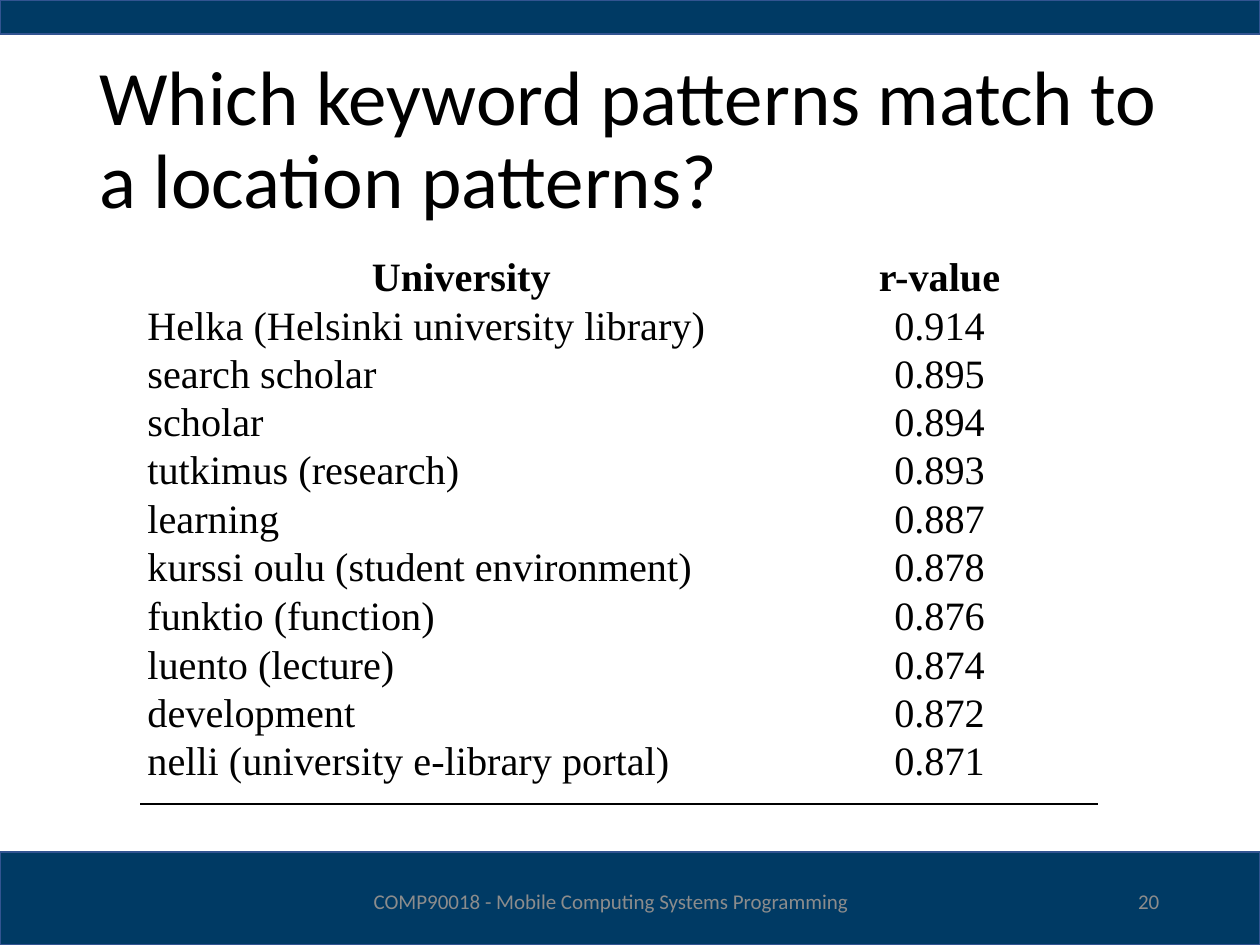
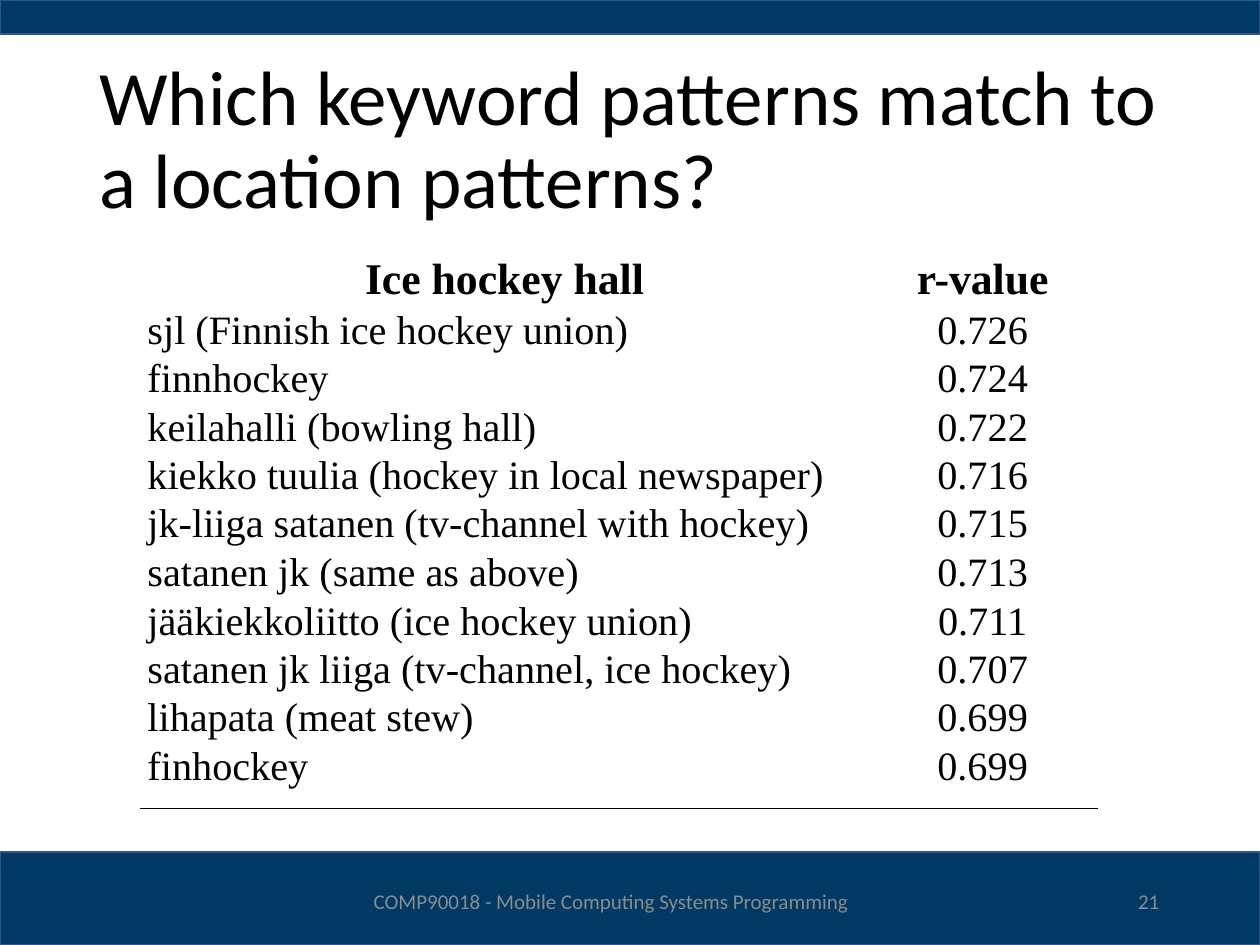
from dataclasses import dataclass

from lxml.etree import SubElement
from pptx import Presentation
from pptx.dml.color import RGBColor
from pptx.enum.shapes import MSO_SHAPE
from pptx.enum.text import MSO_ANCHOR, PP_ALIGN
from pptx.oxml.ns import qn
from pptx.util import Inches, Pt

NAVY = RGBColor(0x00, 0x3A, 0x64)
BAND_EDGE = RGBColor(0x32, 0x54, 0x91)
BLACK = RGBColor(0x00, 0x00, 0x00)
WHITE = RGBColor(0xFF, 0xFF, 0xFF)
GREY = RGBColor(0x8C, 0x8C, 0x8C)
SANS, SERIF = "Calibri", "Times New Roman"

WIDTH, HEIGHT = Inches(10), Inches(7.5)
ROW = HEIGHT // 20
BODY_SIZE = 23

HEADING = "Which keyword patterns match to a location patterns?"
COURSE = "COMP90018 - Mobile Computing Systems Programming"

UNIVERSITY = [
    ("Helka (Helsinki university library)", "0.914"),
    ("search scholar", "0.895"),
    ("scholar", "0.894"),
    ("tutkimus (research)", "0.893"),
    ("learning", "0.887"),
    ("kurssi oulu (student environment)", "0.878"),
    ("funktio (function)", "0.876"),
    ("luento (lecture)", "0.874"),
    ("development", "0.872"),
    ("nelli (university e-library portal)", "0.871"),
]
ICE_HOCKEY = [
    ("sjl (Finnish ice hockey union)", "0.726"),
    ("finnhockey", "0.724"),
    ("keilahalli (bowling hall)", "0.722"),
    ("kiekko tuulia (hockey in local newspaper)", "0.716"),
    ("jk-liiga satanen (tv-channel with hockey)", "0.715"),
    ("satanen jk (same as above)", "0.713"),
    ("jääkiekkoliitto (ice hockey union)", "0.711"),
    ("satanen jk liiga (tv-channel, ice hockey)", "0.707"),
    ("lihapata (meat stew)", "0.699"),
    ("finhockey", "0.699"),
]


@dataclass
class Box:
    left: int
    top: int
    width: int
    height: int

    def share(self, left, top, width, height):
        return Box(
            self.left + int(self.width * left),
            self.top + int(self.height * top),
            int(self.width * width),
            int(self.height * height),
        )

    def place(self):
        return self.left, self.top, self.width, self.height


PAGE = Box(0, 0, WIDTH, HEIGHT)
TOP_BAND = Box(0, 0, WIDTH, Inches(0.27))
FOOTER = Box(0, Inches(6.76), WIDTH, Inches(0.74))
TITLE = Box(Inches(0.69), Inches(0.4), Inches(8.62), Inches(1.45))
RANKING = Box(Inches(1.12), Inches(2.03), Inches(7.59), Inches(4.34))


def style_font(paragraph, face, size, color, bold=False):
    font = paragraph.runs[0].font
    font.name, font.size, font.bold = face, Pt(size), bold
    font.color.rgb = color


def add_label(slide, box, text, size, color, align=PP_ALIGN.LEFT):
    frame = slide.shapes.add_textbox(*box.place()).text_frame
    frame.word_wrap = True
    frame.vertical_anchor = MSO_ANCHOR.MIDDLE
    frame.text = text
    line = frame.paragraphs[0]
    line.alignment = align
    style_font(line, SANS, size, color)
    return line


def add_band(slide, box):
    band = slide.shapes.add_shape(MSO_SHAPE.RECTANGLE, *box.place())
    band.shadow.inherit = False
    band.fill.solid()
    band.fill.fore_color.rgb = NAVY
    band.line.color.rgb = BAND_EDGE
    band.line.width = Pt(1)


def add_footer(slide, box, number):
    add_band(slide, box)
    add_label(slide, box.share(0.26, 0.26, 0.45, 0.54), COURSE, 12, GREY, PP_ALIGN.CENTER)
    add_label(slide, box.share(0.71, 0.26, 0.22, 0.54), str(number), 12, GREY, PP_ALIGN.RIGHT)


def rule_below(cell):
    properties = cell._tc.get_or_add_tcPr()
    rule = SubElement(properties, qn("a:lnB"), w=str(Pt(1)))
    ink = SubElement(rule, qn("a:solidFill"))
    SubElement(ink, qn("a:srgbClr"), val=str(BLACK))
    properties.insert(0, rule)


def fill_cell(cell, text, size, centred, bold):
    cell.margin_left = cell.margin_right = Inches(0.05)
    cell.margin_top = cell.margin_bottom = 0
    cell.fill.solid()
    cell.fill.fore_color.rgb = WHITE
    cell.text_frame.text = text
    line = cell.text_frame.paragraphs[0]
    line.alignment = PP_ALIGN.CENTER if centred else PP_ALIGN.LEFT
    style_font(line, SERIF, size, BLACK, bold)


def add_ranking(slide, box, place_name, keywords, keyword_share, header_size, header_rows):
    entries = [(place_name, "r-value"), *keywords]
    last = len(entries) - 1
    table = slide.shapes.add_table(len(entries), 2, *box.place()).table
    table.first_row = table.horz_banding = False
    table.columns[0].width = int(box.width * keyword_share)
    table.columns[1].width = box.width - table.columns[0].width
    row_spans = {0: header_rows, 6: 1.04, last: 1.36}
    for r, entry in enumerate(entries):
        table.rows[r].height = int(ROW * row_spans.get(r, 1))
        header = r == 0
        for c, text in enumerate(entry):
            cell = table.cell(r, c)
            fill_cell(cell, text, header_size if header else BODY_SIZE, header or c == 1, header)
            if r == last:
                rule_below(cell)


def add_ranking_slide(deck, number, *ranking):
    slide = deck.slides.add_slide(deck.slide_layouts[6])
    add_footer(slide, FOOTER, number)
    add_band(slide, TOP_BAND)
    add_label(slide, TITLE, HEADING, 44, BLACK).line_spacing = 0.9
    add_ranking(slide, RANKING, *ranking)


def main():
    deck = Presentation()
    deck.slide_width, deck.slide_height = PAGE.width, PAGE.height
    add_ranking_slide(deck, 20, "University", UNIVERSITY, 0.67, BODY_SIZE, 1)
    add_ranking_slide(deck, 21, "Ice hockey hall", ICE_HOCKEY, 0.76, 25, 1.12)
    deck.save("out.pptx")


if __name__ == "__main__":
    main()
